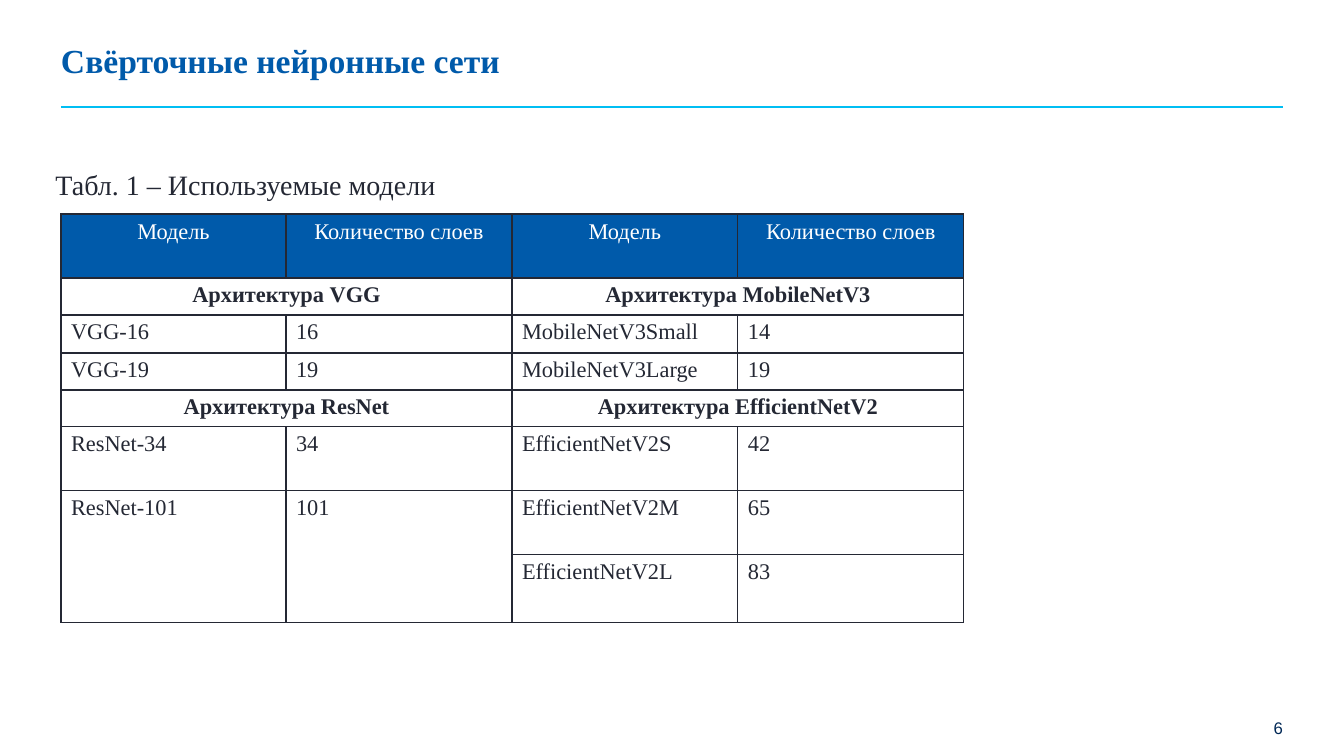
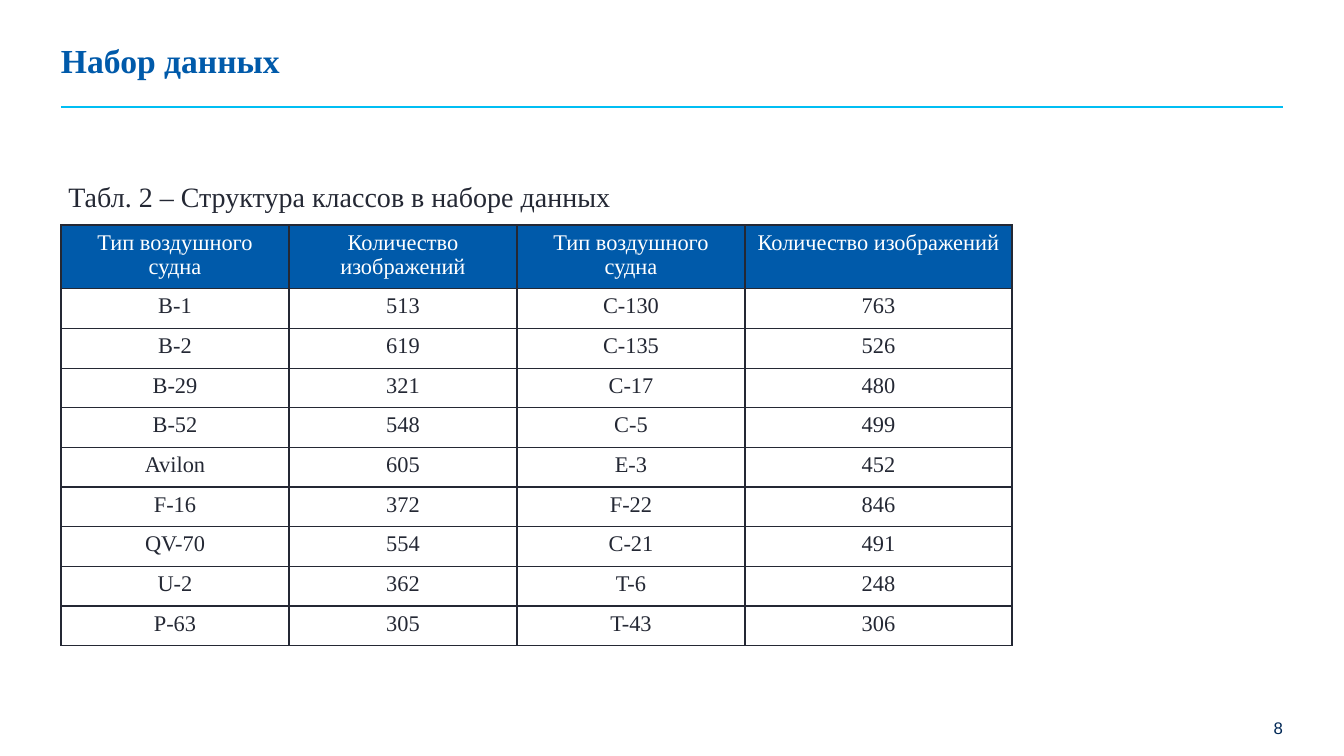
from lxml import etree
from pptx import Presentation
from pptx.dml.color import RGBColor
from pptx.enum.shapes import MSO_CONNECTOR
from pptx.enum.text import MSO_ANCHOR, PP_ALIGN
from pptx.oxml.ns import qn
from pptx.util import Emu, Pt

LEFT, CENTER, RIGHT = PP_ALIGN.LEFT, PP_ALIGN.CENTER, PP_ALIGN.RIGHT
TOP, MIDDLE = MSO_ANCHOR.TOP, MSO_ANCHOR.MIDDLE
STRAIGHT = MSO_CONNECTOR.STRAIGHT

BLUE = RGBColor(0x00, 0x5A, 0xAA)
CYAN = RGBColor(0x00, 0xBE, 0xF3)
NAVY = RGBColor(0x00, 0x28, 0x56)
INK = RGBColor(0x24, 0x28, 0x34)
WHITE = RGBColor(0xFF, 0xFF, 0xFF)

SERIF, SANS = "Times New Roman", "Arial"
SLIDE_W, SLIDE_H = 1344, 756
MARGIN, RIGHT_EDGE = 61, 1283
BORDER = Pt(1)

# Model tables: None marks a cell covered by a merged neighbour
MODELS = [
    ["Модель", "Количество слоев", "Модель", "Количество слоев"],
    ["Архитектура VGG", None, "Архитектура MobileNetV3", None],
    ["VGG-16", "16", "MobileNetV3Small", "14"],
    ["VGG-19", "19", "MobileNetV3Large", "19"],
    ["Архитектура ResNet", None, "Архитектура EfficientNetV2", None],
    ["ResNet-34", "34", "EfficientNetV2S", "42"],
    ["ResNet-101", "101", "EfficientNetV2M", "65"],
    [None, None, "EfficientNetV2L", "83"],
]
MODEL_ROWS = [64, 37, 38, 37, 37, 64, 64, 68]
GROUP_ROWS = (1, 4)
MODEL_MERGES = [(r, c, r, c + 1) for r in GROUP_ROWS for c in (0, 2)]
MODEL_MERGES += [(6, c, 7, c) for c in (0, 1)]

AIRCRAFT = [
    ["Тип воздушного судна", "Количество изображений"] * 2,
    ["B-1", "513", "C-130", "763"],
    ["B-2", "619", "C-135", "526"],
    ["B-29", "321", "C-17", "480"],
    ["B-52", "548", "C-5", "499"],
    ["Avilon", "605", "E-3", "452"],
    ["F-16", "372", "F-22", "846"],
    ["QV-70", "554", "C-21", "491"],
    ["U-2", "362", "T-6", "248"],
    ["P-63", "305", "T-43", "306"],
]
AIRCRAFT_BODY_H = 357


def px(n):
    return Emu(round(n * 12192000 / SLIDE_W))


def write(tf, text, size=16, color=INK, font=SERIF, bold=False,
          align=LEFT, spacing=None):
    p = tf.paragraphs[0]
    p.alignment = align
    if spacing:
        p.line_spacing = spacing
    r = p.add_run()
    r.text = text
    r.font.name = font
    r.font.size = Pt(size)
    r.font.bold = bold
    r.font.color.rgb = color


def add_text(s, x, y, w, h, text, anchor=MIDDLE, **fmt):
    tf = s.shapes.add_textbox(px(x), px(y), px(w), px(h)).text_frame
    tf.margin_left = tf.margin_right = tf.margin_top = tf.margin_bottom = 0
    tf.word_wrap = True
    tf.vertical_anchor = anchor
    write(tf, text, **fmt)


def add_caption(s, x, y, w, text):
    add_text(s, x, y, w, 30, text, size=20, align=CENTER, spacing=0.9)


def add_rule(s, y):
    line = s.shapes.add_connector(STRAIGHT, px(MARGIN), px(y),
                                  px(RIGHT_EDGE), px(y))
    line.line.color.rgb = CYAN
    line.line.width = Pt(1.25)
    etree.SubElement(line._element.spPr, qn("a:effectLst"))


def set_borders(cell):
    tc_pr = cell._tc.get_or_add_tcPr()
    for side in ("a:lnL", "a:lnR", "a:lnT", "a:lnB"):
        ln = etree.SubElement(tc_pr, qn(side), w=str(int(BORDER)))
        fill = etree.SubElement(ln, qn("a:solidFill"))
        etree.SubElement(fill, qn("a:srgbClr"), val=str(INK))


def add_grid(s, y, col_widths, row_heights, data, merges=(),
             group_rows=(), body_align=LEFT):
    table = s.shapes.add_table(len(data), len(col_widths), px(MARGIN), px(y),
                               px(sum(col_widths)),
                               px(sum(row_heights))).table
    table.first_row = table.horz_banding = False
    for col, w in zip(table.columns, col_widths):
        col.width = px(w)
    for row, h in zip(table.rows, row_heights):
        row.height = px(h)
    for i, values in enumerate(data):
        header, group = i == 0, i in group_rows
        for j, value in enumerate(values):
            cell = table.cell(i, j)
            set_borders(cell)
            cell.fill.solid()
            cell.fill.fore_color.rgb = BLUE if header else WHITE
            if value is not None:
                write(cell.text_frame, value, bold=group,
                      color=WHITE if header else INK,
                      align=CENTER if header or group else body_align)
    for top, left, bottom, right in merges:
        table.cell(top, left).merge(table.cell(bottom, right))


def add_slide(prs, title, number):
    s = prs.slides.add_slide(prs.slide_layouts[6])
    add_rule(s, 107)
    add_text(s, 1015, 718, RIGHT_EDGE - 1015, 20, number, anchor=TOP,
             size=12, color=NAVY, font=SANS, align=RIGHT)
    add_text(s, MARGIN, 45, 1059, 36, title, size=24, color=BLUE,
             bold=True, spacing=0.9)
    return s


def main():
    prs = Presentation()
    prs.slide_width, prs.slide_height = px(SLIDE_W), px(SLIDE_H)

    # Network models
    s = add_slide(prs, "Свёрточные нейронные сети", "6")
    add_caption(s, 12, 171, 467, "Табл. 1 – Используемые модели")
    add_grid(s, 214, [225, 226, 226, 226], MODEL_ROWS, MODELS,
             merges=MODEL_MERGES, group_rows=GROUP_ROWS)

    # Dataset classes
    s = add_slide(prs, "Набор данных", "8")
    body_rows = len(AIRCRAFT) - 1
    add_grid(s, 225, [228, 228, 228, 267],
             [60] + [AIRCRAFT_BODY_H / body_rows] * body_rows, AIRCRAFT,
             body_align=CENTER)
    add_caption(s, MARGIN, 183, 557,
                "Табл. 2 – Структура классов в наборе данных")

    prs.save("out.pptx")


if __name__ == "__main__":
    main()
